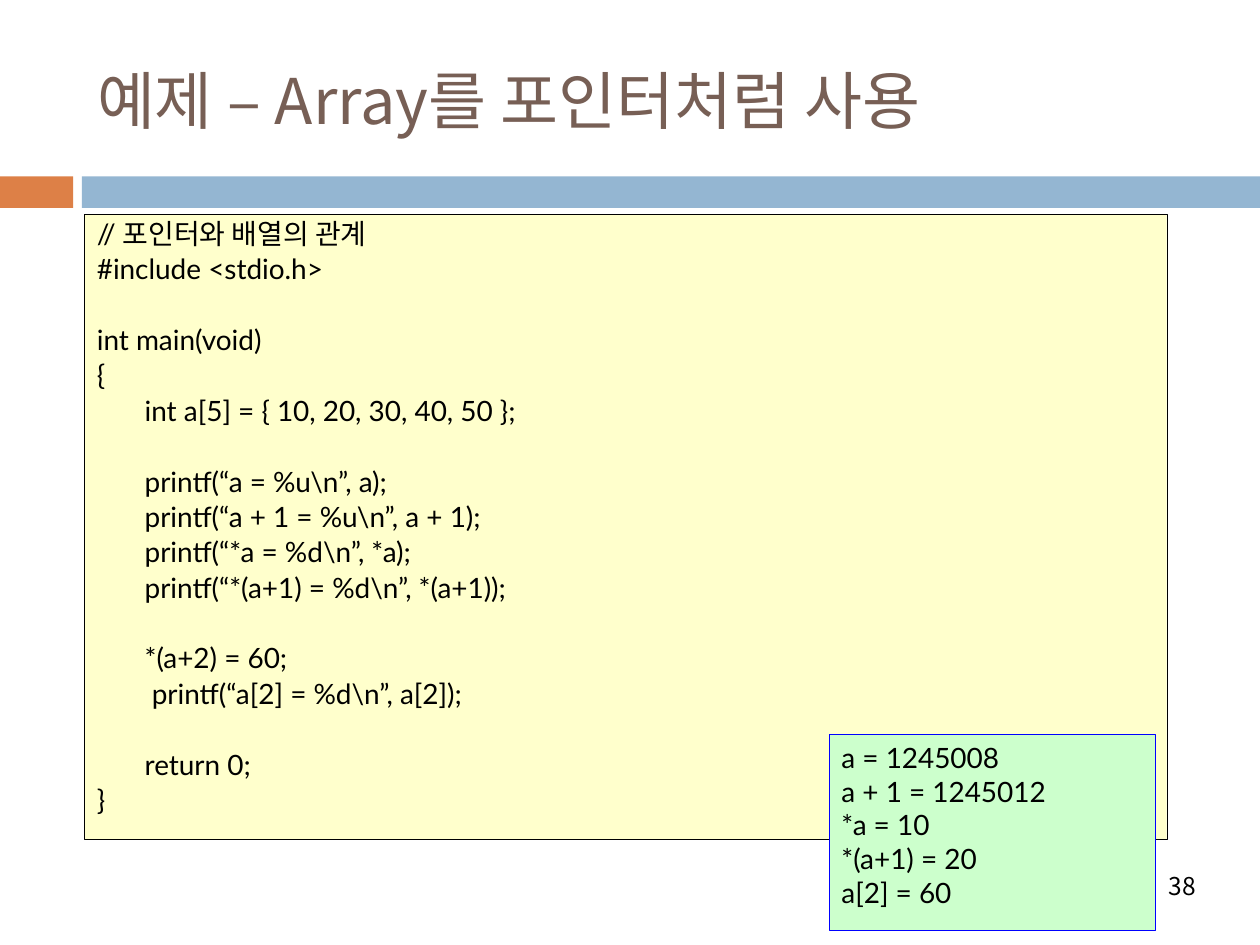
from lxml.etree import SubElement
from pptx import Presentation
from pptx.dml.color import RGBColor
from pptx.enum.shapes import MSO_SHAPE
from pptx.enum.text import MSO_ANCHOR, MSO_AUTO_SIZE, PP_ALIGN
from pptx.oxml.ns import qn
from pptx.util import Inches, Pt

ORANGE = RGBColor(0xDD, 0x80, 0x47)
SKY = RGBColor(0x94, 0xB6, 0xD2)
BROWN = RGBColor(0x77, 0x5F, 0x55)
CREAM = RGBColor(0xFF, 0xFF, 0xCC)
MINT = RGBColor(0xCC, 0xFF, 0xCC)
BLUE = RGBColor(0x00, 0x00, 0xFF)
BLACK = RGBColor(0x00, 0x00, 0x00)
KOREAN = "Noto Sans CJK KR"
LATIN = "Lato"

deck = Presentation()
deck.slide_width, deck.slide_height = Inches(10), Inches(7.5)
slide = deck.slides.add_slide(deck.slide_layouts[5])


def write(shape, text, font=LATIN, size=16, color=BLACK, align=PP_ALIGN.LEFT,
          anchor=MSO_ANCHOR.TOP, hanging=0, line_spacing=None, gap=0):
    frame = shape.text_frame
    frame.word_wrap = True
    frame.auto_size = MSO_AUTO_SIZE.NONE
    frame.vertical_anchor = anchor
    paragraph, before = None, 0
    for line in text.split("\n"):
        if not line:
            before += line_spacing + gap
            continue
        paragraph = frame.add_paragraph() if paragraph else frame.paragraphs[0]
        paragraph.alignment = align
        paragraph.space_before = Pt(before)
        if line_spacing:
            paragraph.line_spacing = Pt(line_spacing)
        if hanging:
            properties = paragraph._p.get_or_add_pPr()
            properties.set("marL", str(Inches(hanging)))
            properties.set("indent", str(-Inches(hanging)))
        run = paragraph.add_run()
        run.text = line
        run.font.name = font
        run.font.size = Pt(size)
        run.font.color.rgb = color
        SubElement(run._r.get_or_add_rPr(), qn("a:ea"), typeface=KOREAN)
        before = gap


def add_panel(left, top, width, height, fill, line=None, weight=0.25):
    panel = slide.shapes.add_shape(MSO_SHAPE.RECTANGLE, Inches(left), Inches(top),
                                   Inches(width), Inches(height))
    panel.shadow.inherit = False
    panel.fill.solid()
    panel.fill.fore_color.rgb = fill
    if line is None:
        panel.line.fill.background()
    else:
        panel.line.color.rgb = line
        panel.line.width = Pt(weight)
    return panel


heading = slide.shapes.title
heading.left, heading.top = Inches(0.67), Inches(0.25)
heading.width, heading.height = Inches(8.92), Inches(1.08)
write(heading, "예제 – Array를 포인터처럼 사용", font=KOREAN, size=36, color=BROWN,
      anchor=MSO_ANCHOR.MIDDLE)

add_panel(0, 1.4, 0.58, 0.25, ORANGE)
add_panel(0.65, 1.4, 9.35, 0.25, SKY)

code = add_panel(0.67, 1.7, 8.59, 4.96, CREAM, BLACK)
write(code, """// 포인터와 배열의 관계
#include <stdio.h>

int main(void)
{
\tint a[5] = { 10, 20, 30, 40, 50 };

\tprintf(“a = %u\\n”, a);
\tprintf(“a + 1 = %u\\n”, a + 1);
\tprintf(“*a = %d\\n”, *a);
\tprintf(“*(a+1) = %d\\n”, *(a+1));

\t*(a+2) = 60;
\t printf(“a[2] = %d\\n”, a[2]);

\treturn 0;
}""", hanging=0.38, line_spacing=17, gap=3.2)

output = add_panel(6.58, 5.83, 2.59, 1.55, MINT, BLUE, 0.33)
write(output, """a = 1245008
a + 1 = 1245012
*a = 10
*(a+1) = 20
a[2] = 60""", align=PP_ALIGN.JUSTIFY)

page_number = slide.shapes.add_textbox(Inches(6.81), Inches(6.83), Inches(2.78), Inches(0.4))
write(page_number, "38", font=KOREAN, size=14, align=PP_ALIGN.RIGHT,
      anchor=MSO_ANCHOR.MIDDLE)

deck.save("out.pptx")
